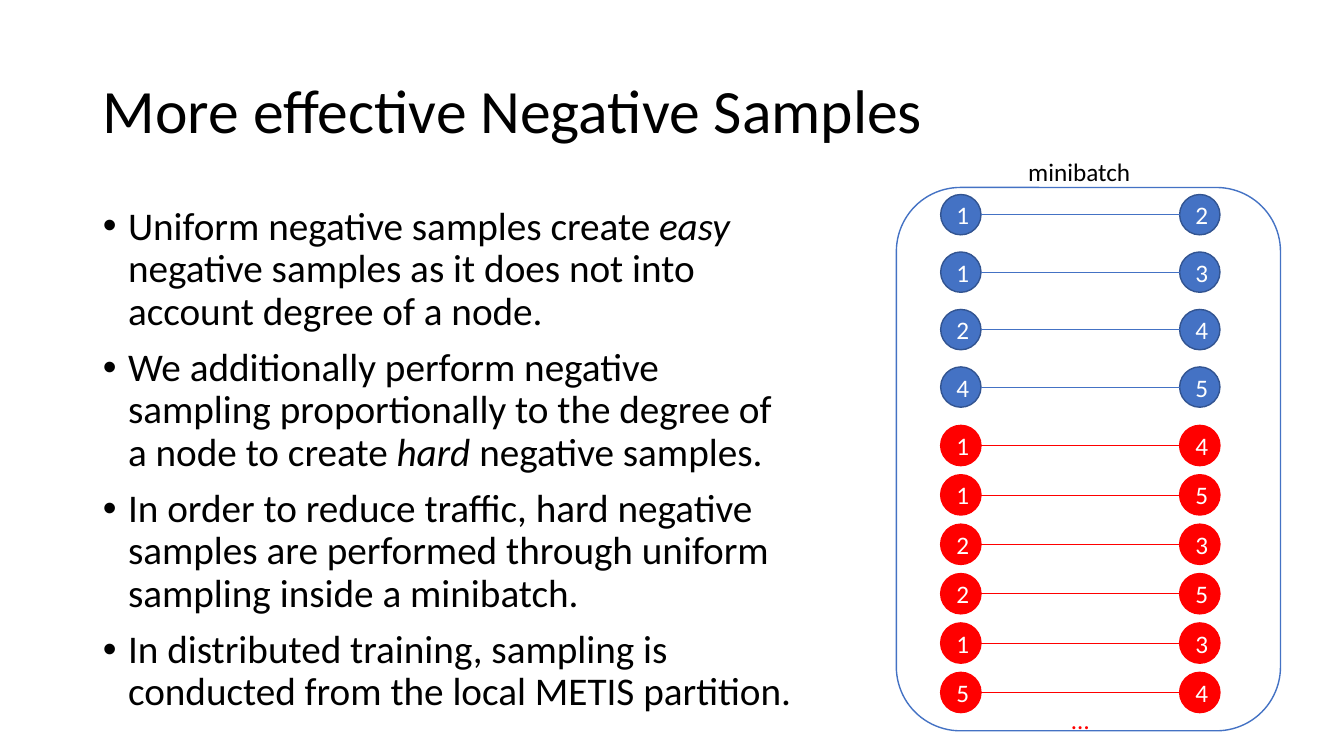
from dataclasses import dataclass

from lxml import etree
from pptx import Presentation
from pptx.dml.color import RGBColor
from pptx.enum.shapes import MSO_CONNECTOR, MSO_SHAPE
from pptx.enum.text import MSO_ANCHOR, MSO_AUTO_SIZE, PP_ALIGN
from pptx.oxml.ns import qn
from pptx.util import Inches, Pt

STRAIGHT = MSO_CONNECTOR.STRAIGHT
ELLIPSE, ROUNDED = MSO_SHAPE.OVAL, MSO_SHAPE.ROUNDED_RECTANGLE
MIDDLE, TOP = MSO_ANCHOR.MIDDLE, MSO_ANCHOR.TOP
LEFT, CENTER = PP_ALIGN.LEFT, PP_ALIGN.CENTER
NO_FIT = MSO_AUTO_SIZE.NONE


@dataclass(frozen=True)
class Theme:
    font: str = "Calibri"
    black: str = "000000"
    white: str = "FFFFFF"
    blue: str = "4472C4"
    blue_outline: str = "325491"
    red: str = "FF0000"
    title_size: int = 44
    body_size: int = 28
    label_size: int = 18
    outline: float = 1
    edge: float = 0.5


THEME = Theme()

TITLE = "More effective Negative Samples"
# Each bullet is a list of (text, italic) runs.
BULLETS = [
    [("Uniform negative samples create ", False), ("easy ", True),
     ("negative samples as it does not into account degree of a node.", False)],
    [("We additionally perform negative sampling proportionally to the degree "
      "of a node to create ", False), ("hard", True),
     (" negative samples.", False)],
    [("In order to reduce traffic, hard negative samples are performed "
      "through uniform sampling inside a minibatch.", False)],
    [("In distributed training, sampling is conducted from the local METIS "
      "partition.", False)],
]
POSITIVE_EDGES = [(1, 2), (1, 3), (2, 4), (4, 5)]
NEGATIVE_EDGES = [(1, 4), (1, 5), (2, 3), (2, 5), (1, 3), (5, 4)]

NODE = 0.4
NODE_SPAN = 2.37  # from the left node's left to the right node's left


def color(value):
    return RGBColor.from_string(value)


def add_run(paragraph, text, size, text_color, italic=False):
    run = paragraph.add_run()
    run.text = text
    run.font.name = THEME.font
    run.font.size = Pt(size)
    run.font.color.rgb = color(text_color)
    run.font.italic = italic


def place(shape, box):
    shape.left, shape.top, shape.width, shape.height = map(Inches, box)


def add_bullet(paragraph):
    properties = paragraph._p.get_or_add_pPr()
    properties.set("marL", str(Inches(0.25)))
    properties.set("indent", str(-Inches(0.25)))
    etree.SubElement(properties, qn("a:buFont")).set("typeface", "Arial")
    etree.SubElement(properties, qn("a:buChar")).set("char", "•")


def fill_title(slide, box):
    title = slide.shapes.title
    place(title, box)
    frame = title.text_frame
    frame.auto_size = NO_FIT
    frame.vertical_anchor = MIDDLE
    paragraph = frame.paragraphs[0]
    paragraph.alignment = LEFT
    paragraph.line_spacing = 0.9
    add_run(paragraph, TITLE, THEME.title_size, THEME.black)


def fill_body(slide, box):
    body = slide.placeholders[1]
    place(body, box)
    frame = body.text_frame
    frame.auto_size = NO_FIT
    frame.vertical_anchor = TOP
    for index, runs in enumerate(BULLETS):
        paragraph = frame.add_paragraph() if index else frame.paragraphs[0]
        add_bullet(paragraph)
        paragraph.line_spacing = 0.9
        paragraph.space_before = Pt(10 if index else 0)
        for text, italic in runs:
            add_run(paragraph, text, THEME.body_size, THEME.black, italic)


def add_shape(slide, kind, box, fill, line):
    shape = slide.shapes.add_shape(kind, *map(Inches, box))
    shape.shadow.inherit = False
    shape.fill.solid()
    shape.fill.fore_color.rgb = color(fill)
    shape.line.color.rgb = color(line)
    shape.line.width = Pt(THEME.outline)
    return shape


def add_label(slide, box, text, text_color):
    frame = slide.shapes.add_textbox(*map(Inches, box)).text_frame
    frame.word_wrap = False
    add_run(frame.paragraphs[0], text, THEME.label_size, text_color)


def add_node(slide, left, top, number, fill, line):
    node = add_shape(slide, ELLIPSE, (left, top, NODE, NODE), fill, line)
    frame = node.text_frame
    frame.vertical_anchor = MIDDLE
    frame.paragraphs[0].alignment = CENTER
    add_run(frame.paragraphs[0], str(number), THEME.label_size, THEME.white)


def add_edges(slide, left, top, pitch, edges, fill, line):
    """Stack node pairs downwards from (left, top), each joined by a line."""
    right = left + NODE_SPAN
    for row, (source, target) in enumerate(edges):
        y = top + row * pitch
        add_node(slide, left, y, source, fill, line)
        add_node(slide, right, y, target, fill, line)
        middle = y + NODE / 2
        edge = slide.shapes.add_connector(
            STRAIGHT, *map(Inches, (left + NODE, middle, right, middle)))
        edge.line.color.rgb = color(fill)
        edge.line.width = Pt(THEME.edge)
        etree.SubElement(edge._element.spPr, qn("a:effectLst"))


def draw_minibatch(slide, box):
    left, top, _, height = box
    add_shape(slide, ROUNDED, box, THEME.white, THEME.blue)
    add_label(slide, (left + 1.21, top - 0.36, 1.23, 0.4),
              "minibatch", THEME.black)
    nodes_left = left + 0.44
    add_edges(slide, nodes_left, top + 0.07, 0.57, POSITIVE_EDGES,
              THEME.blue, THEME.blue_outline)
    add_edges(slide, nodes_left, top + 2.36, 0.49, NEGATIVE_EDGES,
              THEME.red, THEME.red)
    add_label(slide, (left + 1.64, top + height - 0.31, 0.38, 0.4),
              "…", THEME.red)


def main():
    presentation = Presentation()
    presentation.slide_width = Inches(13.33)
    presentation.slide_height = Inches(7.5)
    slide = presentation.slides.add_slide(presentation.slide_layouts[1])
    fill_title(slide, (0.92, 0.4, 11.5, 1.45))
    fill_body(slide, (0.92, 2, 7.04, 5.39))
    draw_minibatch(slide, (8.89, 1.86, 3.81, 5.39))
    presentation.save("out.pptx")


if __name__ == "__main__":
    main()
